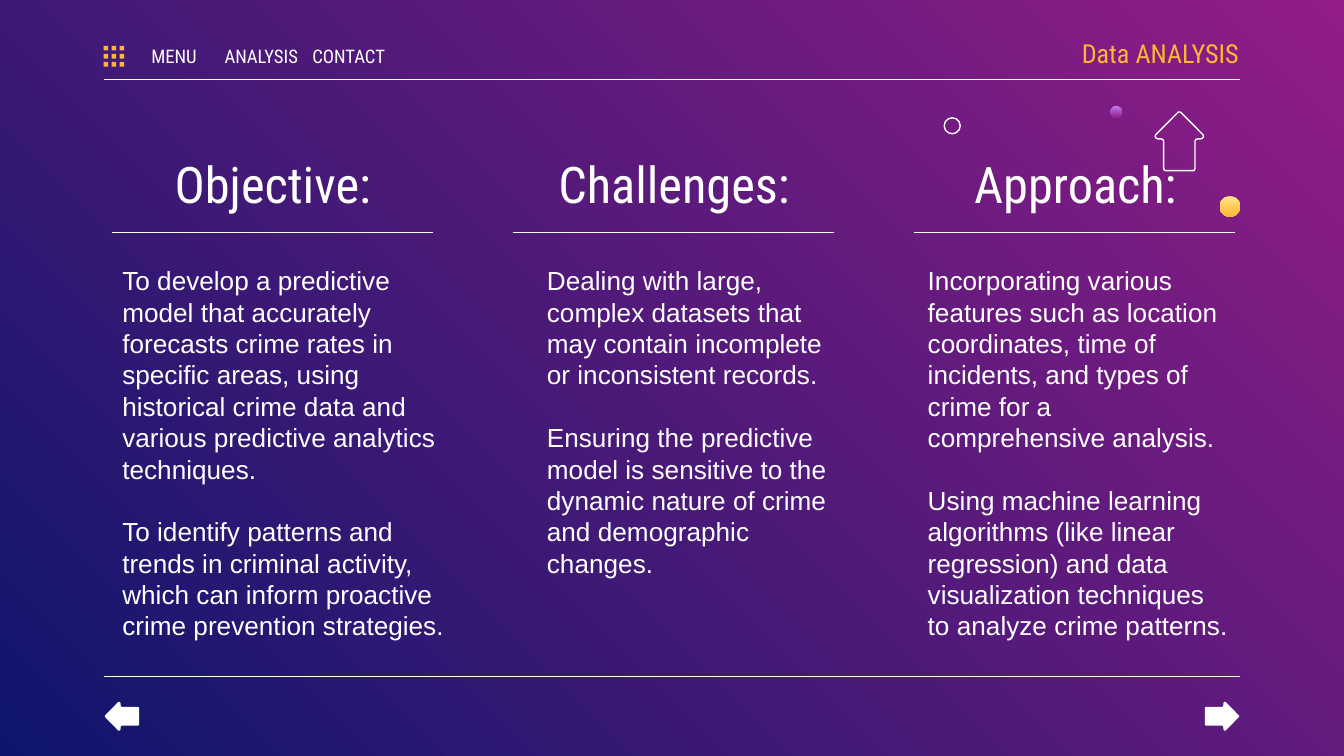
from dataclasses import dataclass

from lxml.etree import SubElement
from pptx import Presentation
from pptx.dml.color import RGBColor
from pptx.enum.shapes import MSO_CONNECTOR, MSO_SHAPE
from pptx.enum.text import MSO_ANCHOR, MSO_AUTO_SIZE, PP_ALIGN
from pptx.oxml.ns import qn
from pptx.util import Pt


@dataclass(frozen=True)
class Theme:
    white: str = "FFFFFF"
    amber: str = "FFB632"
    background: tuple = ("921D87", "0E166C")
    violet_dot: tuple = ("BE7AF3", "921D87")
    amber_dot: tuple = ("FFE485", "FFB632")
    heading_font: str = "Roboto Condensed"
    body_font: str = "Arial"
    heading_size: float = 27
    body_size: float = 14
    menu_size: float = 10
    body_leading: float = 16.8
    line_width: float = 0.75


THEME = Theme()
LEFT, RIGHT = 55.5, 664.5
COLUMN_STEP = 215
INSET = 7.2

COLUMNS = [
    ("Objective:", 58.3, 198.7, [
        ("To develop a predictive model that accurately", False),
        ("forecasts crime rates in specific areas, using historical crime data "
         "and various predictive analytics techniques.", True),
        ("To identify patterns and trends in criminal activity, which can "
         "inform proactive crime prevention strategies.", False),
    ]),
    ("Challenges:", 285.8, 175.7, [
        ("Dealing with large, complex datasets that may contain incomplete "
         "or inconsistent records.", True),
        ("Ensuring the predictive model is sensitive to the dynamic nature "
         "of crime and demographic changes.", False),
    ]),
    ("Approach:", 489.8, 175.7, [
        ("Incorporating various features such as location coordinates, time of "
         "incidents, and types of crime for a comprehensive analysis.", True),
        ("Using machine learning algorithms (like linear regression) and data "
         "visualization techniques to analyze crime patterns.", False),
    ]),
]

ARROW_SIDE = [(0, 0.03), (0.02, 0.09), (0.39, 0.97), (0.42, 0.99), (0.45, 0.94),
              (0.46, 0.86), (0.46, 0.75), (0.47, 0.67), (0.5, 0.64),
              (0.96, 0.64), (0.99, 0.62), (1, 0.58)]


def place(shape, left, top, width, height):
    shape.left, shape.top = Pt(left), Pt(top)
    shape.width, shape.height = Pt(width), Pt(height)


def prepare_frame(box, anchor, insets):
    frame = box.text_frame
    frame.word_wrap = True
    frame.auto_size = MSO_AUTO_SIZE.NONE
    frame.vertical_anchor = anchor
    frame.margin_left, frame.margin_right = Pt(insets[0]), Pt(insets[1])
    frame.margin_top = frame.margin_bottom = Pt(INSET)
    return frame


def add_span(para, text, font, size, color):
    span = para.add_run()
    span.text = text
    span.font.name = font
    span.font.size = Pt(size)
    span.font.bold = False
    span.font.color.rgb = RGBColor.from_string(color)


def fill_label(box, text, size, color=THEME.white, align=PP_ALIGN.CENTER,
               anchor=MSO_ANCHOR.MIDDLE, insets=(0, 0)):
    para = prepare_frame(box, anchor, insets).paragraphs[0]
    para.alignment = align
    add_span(para, text, THEME.heading_font, size, color)


def fill_body(box, entries):
    frame = prepare_frame(box, MSO_ANCHOR.TOP, (INSET, INSET))
    for number, (text, gap_after) in enumerate(entries):
        para = frame.add_paragraph() if number else frame.paragraphs[0]
        para.alignment = PP_ALIGN.LEFT
        para.line_spacing = Pt(THEME.body_leading)
        para.space_before = Pt(0)
        para.space_after = Pt(THEME.body_leading if gap_after else 0)
        properties = para._p.get_or_add_pPr()
        properties.set("marL", "0")
        properties.set("indent", "0")
        SubElement(properties, qn("a:buNone"))
        add_span(para, text, THEME.body_font, THEME.body_size, THEME.white)


def add_text_box(page, left, top, width, height):
    return page.shapes.add_textbox(Pt(left), Pt(top), Pt(width), Pt(height))


def add_rule(page, left, right, y):
    rule = page.shapes.add_connector(
        MSO_CONNECTOR.STRAIGHT, Pt(left), Pt(y), Pt(right), Pt(y))
    rule.line.color.rgb = RGBColor.from_string(THEME.white)
    rule.line.width = Pt(THEME.line_width)
    SubElement(rule._element.spPr, qn("a:effectLst"))


def set_gradient(fill, colors, angle):
    fill.gradient()
    fill.gradient_angle = angle
    for stop, color, position in zip(fill.gradient_stops, colors, (0, 1)):
        stop.color.rgb = RGBColor.from_string(color)
        stop.position = position


def paint(shape, fill=None, outline=None):
    shape.shadow.inherit = False
    if fill is None:
        shape.fill.background()
    elif isinstance(fill, tuple):
        set_gradient(shape.fill, fill, 270)
    else:
        shape.fill.solid()
        shape.fill.fore_color.rgb = RGBColor.from_string(fill)
    if outline is None:
        shape.line.fill.background()
    else:
        shape.line.color.rgb = RGBColor.from_string(outline)
        shape.line.width = Pt(THEME.line_width)


def add_preset(page, kind, left, top, size, **colors):
    shape = page.shapes.add_shape(kind, Pt(left), Pt(top), Pt(size), Pt(size))
    paint(shape, **colors)


def add_arrow(page, direction, left, top, width, height, **colors):
    outline = ARROW_SIDE + [(along, -across) for along, across in reversed(ARROW_SIDE)]

    def locate(along, across):
        side = (1 + across) / 2
        x, y = {"up": (side, along), "left": (along, side),
                "right": (1 - along, side)}[direction]
        return Pt(left + width * x), Pt(top + height * y)

    points = [locate(*point) for point in outline]
    builder = page.shapes.build_freeform(*points[0])
    builder.add_line_segments(points[1:], close=True)
    paint(builder.convert_to_shape(), **colors)


def add_header(page):
    for row in range(3):
        for column in range(3):
            add_preset(page, MSO_SHAPE.RECTANGLE, LEFT + 4.3 * column,
                       24.6 + 4.3 * row, 2.5, fill=THEME.amber)
    for number, text in enumerate(["MENU", "ANALYSIS", "CONTACT"]):
        box = add_text_box(page, 72.7 + 46.8 * number, 21.6, 41, 16.6)
        fill_label(box, text, THEME.menu_size)
    box = add_text_box(page, 555.8, 16.6, 108, 23.8)
    fill_label(box, "Data ANALYSIS", THEME.body_size, THEME.amber,
               PP_ALIGN.RIGHT, insets=(INSET, 0))
    add_rule(page, LEFT, RIGHT, 42.5)


def add_columns(page):
    bodies = [page.placeholders[index] for index in (1, 2, 3)]
    for number, (heading, body_left, body_width, entries) in enumerate(COLUMNS):
        shift = COLUMN_STEP * number
        area = (58.3 + shift, 74.9, 175.7, 34.6)
        box = add_text_box(page, *area) if number else page.shapes.title
        place(box, *area)
        fill_label(box, heading, THEME.heading_size,
                   anchor=MSO_ANCHOR.TOP, insets=(INSET, INSET))
        add_rule(page, 59.8 + shift, 231.8 + shift, 124.6)
        place(bodies[number], body_left, 134.6, body_width, 47.5)
        fill_body(bodies[number], entries)


def add_decorations(page):
    add_rule(page, LEFT, RIGHT, 362.3)
    add_arrow(page, "left", 56.2, 375.9, 18.3, 15.7, fill=THEME.white)
    add_arrow(page, "right", 645.5, 375.9, 18.3, 15.7, fill=THEME.white)
    add_arrow(page, "up", 618.7, 60, 26.2, 31.4, outline=THEME.white)
    add_preset(page, MSO_SHAPE.OVAL, 505.8, 63.1, 8.6, outline=THEME.white)
    add_preset(page, MSO_SHAPE.OVAL, 594.9, 56.8, 6.3, fill=THEME.violet_dot)
    add_preset(page, MSO_SHAPE.OVAL, 653.4, 105.1, 11, fill=THEME.amber_dot)


def main():
    deck = Presentation()
    deck.slide_width, deck.slide_height = Pt(720), Pt(405)
    page = deck.slides.add_slide(deck.slide_layouts.get_by_name("Comparison"))
    spare = page.placeholders[4]._element
    spare.getparent().remove(spare)
    set_gradient(page.background.fill, THEME.background, 225)
    add_columns(page)
    add_header(page)
    add_decorations(page)
    deck.save("out.pptx")


if __name__ == "__main__":
    main()
